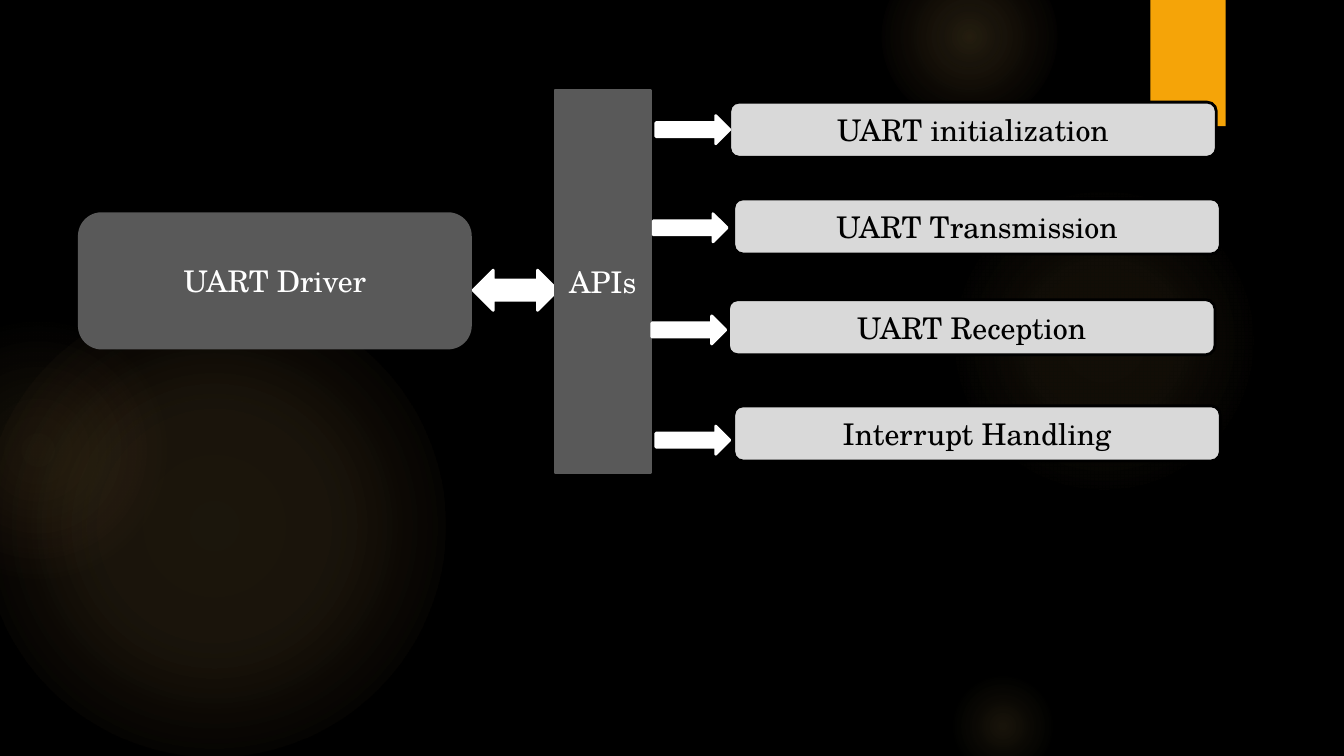
from lxml.etree import SubElement
from pptx import Presentation
from pptx.dml.color import RGBColor
from pptx.enum.shapes import MSO_SHAPE
from pptx.enum.text import MSO_ANCHOR, PP_ALIGN
from pptx.oxml.ns import qn
from pptx.util import Inches, Pt

COLORS = {
    "black": "000000",
    "white": "FFFFFF",
    "dark_gray": "595959",
    "light_gray": "D9D9D9",
    "orange": "F5A408",
    "glow": "FAC96A",
    "glow_edge": "F59B74",
}
FONT = "TeX Gyre Schola"

# 16:9 slide with a black background
presentation = Presentation()
presentation.slide_width = Inches(10)
presentation.slide_height = Inches(10) * 9 // 16
slide = presentation.slides.add_slide(presentation.slide_layouts[6])
slide.background.fill.solid()
slide.background.fill.fore_color.rgb = RGBColor.from_string(COLORS["black"])


def add_block(kind, left, top, width, height, fill=None, line=None, text="", text_color="black"):
    shape = slide.shapes.add_shape(kind, Inches(left), Inches(top), Inches(width), Inches(height))
    shape.shadow.inherit = False
    if fill:
        shape.fill.solid()
        shape.fill.fore_color.rgb = RGBColor.from_string(COLORS[fill])
    if line:
        shape.line.color.rgb = RGBColor.from_string(COLORS[line])
        shape.line.width = Pt(1.5)
    else:
        shape.line.fill.background()
    if text:
        shape.text_frame.word_wrap = True
        shape.text_frame.vertical_anchor = MSO_ANCHOR.MIDDLE
        paragraph = shape.text_frame.paragraphs[0]
        paragraph.alignment = PP_ALIGN.CENTER
        run = paragraph.add_run()
        run.text = text
        run.font.name = FONT
        run.font.size = Pt(16)
        run.font.color.rgb = RGBColor.from_string(COLORS[text_color])
    return shape


def set_glow(shape, stops):
    """Fill with a circular gradient; stops are (position %, color, opacity %)."""
    shape.fill.gradient()
    gradient = shape.element.spPr.find(qn("a:gradFill"))
    for child in list(gradient):
        gradient.remove(child)
    stop_list = SubElement(gradient, qn("a:gsLst"))
    for position, color, opacity in stops:
        stop = SubElement(stop_list, qn("a:gs"), pos=str(position * 1000))
        color_element = SubElement(stop, qn("a:srgbClr"), val=COLORS[color])
        SubElement(color_element, qn("a:alpha"), val=str(opacity * 1000))
    circle = SubElement(gradient, qn("a:path"), path="circle")
    SubElement(circle, qn("a:fillToRect"), l="50000", t="50000", r="50000", b="50000")


# Background glows: left, top, diameter, gradient stops
glows = [
    (-0.13, 2.19, 3.44, [(0, "glow", 11), (36, "glow", 10), (75, "glow", 0)]),
    (-0.69, 2.38, 1.94, [(0, "glow", 8), (36, "glow", 5), (71, "glow_edge", 0)]),
    (7.06, 1.38, 2.31, [(0, "glow", 7), (36, "glow", 6), (69, "glow", 0)]),
    (6.56, -0.38, 1.31, [(0, "glow", 14), (36, "glow", 7), (73, "glow", 0)]),
    (7.06, 5, 0.81, [(0, "glow", 10), (31, "glow", 5), (66, "glow", 0)]),
]
for left, top, diameter, stops in glows:
    set_glow(add_block(MSO_SHAPE.OVAL, left, top, diameter, diameter), stops)

# Orange tab
add_block(MSO_SHAPE.RECTANGLE, 8.56, 0, 0.56, 0.94, "orange")

# Driver, two-way arrow and API bar
add_block(MSO_SHAPE.FLOWCHART_ALTERNATE_PROCESS, 0.59, 1.59, 2.91, 1,
          "dark_gray", "dark_gray", "UART Driver", "white")
add_block(MSO_SHAPE.LEFT_RIGHT_ARROW, 3.52, 2.01, 0.63, 0.3, "white", "white")
add_block(MSO_SHAPE.RECTANGLE, 4.13, 0.67, 0.71, 2.85,
          "dark_gray", "dark_gray", "APIs", "white")

# API functions: text, box left and top
functions = [
    ("UART initialization", 5.43, 0.76),
    ("UART Transmission", 5.46, 1.48),
    ("UART Reception", 5.42, 2.23),
    ("Interrupt Handling", 5.46, 3.02),
]
for text, left, top in functions:
    add_block(MSO_SHAPE.FLOWCHART_ALTERNATE_PROCESS, left, top, 3.62, 0.41,
              "light_gray", "black", text)

# Arrows from the API bar to the functions
for left, top in [(4.88, 0.86), (4.86, 1.59), (4.85, 2.35), (4.88, 3.17)]:
    add_block(MSO_SHAPE.RIGHT_ARROW, left, top, 0.55, 0.21, "white", "white")

presentation.save("out.pptx")
